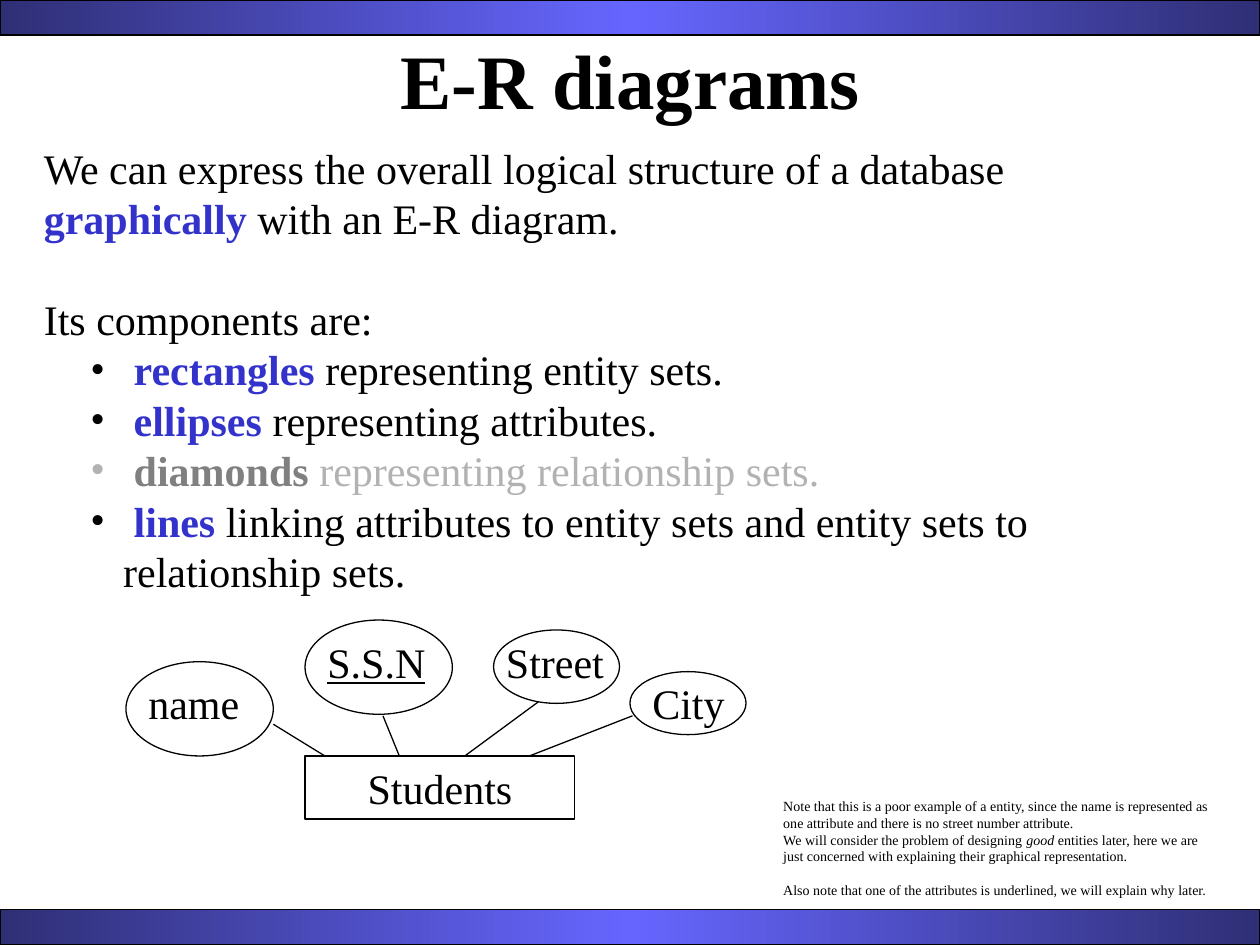
import copy

import pptx
import pptx.dml.color
import pptx.enum.shapes
import pptx.enum.text
import pptx.oxml.ns
import pptx.util
from lxml import etree
from pptx.util import Cm

FONT = "Times New Roman"
COLORS = {
    "text": "000000",
    "keyword": "3333CC",
    "faded": "B2B2B2",
    "faded_keyword": "808080",
    "band_edge": "2F2F76",
    "band_middle": "6666FF",
}
RGB = {name: pptx.dml.color.RGBColor.from_string(value) for name, value in COLORS.items()}
ALIGN = pptx.enum.text.PP_ALIGN
SHAPE = pptx.enum.shapes.MSO_SHAPE


def write_runs(paragraph, pieces, size):
    """Fill a paragraph with (text, color name, styles) pieces, at 1.2 line pitch."""
    paragraph.line_spacing = pptx.util.Pt(size * 1.2)
    paragraph.space_before = pptx.util.Pt(0)
    for text, color, *styles in pieces:
        run = paragraph.add_run()
        run.text = text
        run.font.name = FONT
        run.font.size = pptx.util.Pt(size)
        run.font.color.rgb = RGB[color]
        for style in styles:
            setattr(run.font, style, True)


def add_outline(kind, left, top, width, height):
    """Add an unfilled preset shape with a thin black line."""
    shape = slide.shapes.add_shape(kind, Cm(left), Cm(top), Cm(width), Cm(height))
    shape.shadow.inherit = False
    shape.fill.background()
    shape.line.color.rgb = RGB["text"]
    shape.line.width = pptx.util.Pt(0.75)
    return shape


presentation = pptx.Presentation()
presentation.slide_width, presentation.slide_height = Cm(25.4), Cm(19.05)
slide = presentation.slides.add_slide(presentation.slide_layouts[1])

# Gradient bands along the top and bottom edges
for top in (0, 18.34):
    band = add_outline(SHAPE.RECTANGLE, 0, top, 25.4, 0.71)
    band.fill.gradient()
    band.fill.gradient_angle = 0
    first, last = band.fill.gradient_stops
    first.color.rgb = RGB["band_middle"]
    last.color.rgb = RGB["band_edge"]
    first_stop = band._element.spPr.find(".//" + pptx.oxml.ns.qn("a:gs"))
    middle_stop = copy.deepcopy(first_stop)
    middle_stop.set("pos", "50000")
    first_stop.addnext(middle_stop)
    first.color.rgb = RGB["band_edge"]

# Title
title = slide.shapes.title
title.left, title.top, title.width, title.height = Cm(0.43), Cm(0), Cm(24.56), Cm(3.18)
title.text_frame.text = "E-R diagrams"
title_paragraph = title.text_frame.paragraphs[0]
title_paragraph.alignment = ALIGN.CENTER
title_font = title_paragraph.runs[0].font
title_font.name, title_font.size, title_font.bold = FONT, pptx.util.Pt(44), True
title_font.color.rgb = RGB["text"]

# Introduction and list of components: (bulleted, space before, pieces)
body = slide.placeholders[1]
body.left, body.top, body.width, body.height = Cm(0.63), Cm(2.74), Cm(24.13), Cm(9.4)
body.text_frame.auto_size = pptx.enum.text.MSO_AUTO_SIZE.NONE
body_lines = [
    (False, 0, [("We can express the overall logical structure of a database ", "text"),
                ("graphically", "keyword", "bold"),
                (" with an E-R diagram.", "text")]),
    (False, 28.8, [("Its components are:", "text")]),
]
for keyword, rest, keyword_color, color in (
    ("rectangles", " representing entity sets.", "keyword", "text"),
    ("ellipses", " representing attributes.", "keyword", "text"),
    ("diamonds", " representing relationship sets.", "faded_keyword", "faded"),
    ("lines", " linking attributes to entity sets and entity sets to relationship sets.",
     "keyword", "text"),
):
    body_lines.append((True, 0, [(" " + keyword, keyword_color, "bold"), (rest, color)]))

for index, (bulleted, space_before, pieces) in enumerate(body_lines):
    paragraph = body.text_frame.paragraphs[0] if index == 0 else body.text_frame.add_paragraph()
    paragraph.alignment = ALIGN.LEFT
    properties = paragraph._p.get_or_add_pPr()
    if bulleted:
        paragraph.level = 1
        properties.set("marL", str(Cm(1.6)))
        properties.set("indent", str(Cm(-0.66)))
        bullet_color = etree.SubElement(properties, pptx.oxml.ns.qn("a:buClr"))
        etree.SubElement(bullet_color, pptx.oxml.ns.qn("a:srgbClr"), val=COLORS[pieces[-1][1]])
        etree.SubElement(properties, pptx.oxml.ns.qn("a:buFont"), typeface=FONT)
        etree.SubElement(properties, pptx.oxml.ns.qn("a:buChar"), char="•")
    else:
        properties.set("marL", "0")
        properties.set("indent", "0")
        etree.SubElement(properties, pptx.oxml.ns.qn("a:buNone"))
    write_runs(paragraph, pieces, 24)
    paragraph.space_before = pptx.util.Pt(space_before)

# Entity set
entity = add_outline(SHAPE.RECTANGLE, 6.15, 15.24, 5.44, 1.27)
entity.text_frame.vertical_anchor = pptx.enum.text.MSO_ANCHOR.MIDDLE
entity.text_frame.paragraphs[0].alignment = ALIGN.CENTER
write_runs(entity.text_frame.paragraphs[0], [("Students", "text")], 24)

# Attributes: label, label box (left, top, width), ellipse box, link start, link end x
attributes = [
    ("name", (2.74, 13.54, 2.34), (2.54, 13.34, 2.97, 1.9), (5.51, 14.6), 6.55),
    ("S.S.N", (6.35, 12.7, 2.49), (6.15, 12.5, 2.97, 1.9), (7.72, 14.43), 8.05),
    ("Street", (9.95, 12.7, 2.49), (9.95, 12.7, 2.54, 1.48), (10.85, 14.15), 9.37),
    ("City", (12.9, 13.54, 1.96), (12.7, 13.54, 2.34, 1.27), (12.75, 14.43), 10.67),
]
for label, (left, top, width), ellipse_box, (start_x, start_y), end_x in attributes:
    add_outline(SHAPE.OVAL, *ellipse_box)
    label_box = slide.shapes.add_textbox(Cm(left), Cm(top), Cm(width), Cm(1.27))
    label_box.text_frame.word_wrap = False
    styles = ["underline"] if label == "S.S.N" else []
    write_runs(label_box.text_frame.paragraphs[0], [(label, "text", *styles)], 24)

    link = slide.shapes.add_connector(
        pptx.enum.shapes.MSO_CONNECTOR.STRAIGHT,
        Cm(start_x), Cm(start_y), Cm(end_x), Cm(15.24))
    link.line.color.rgb = RGB["text"]
    link.line.width = pptx.util.Pt(0.75)
    etree.SubElement(link._element.spPr, pptx.oxml.ns.qn("a:effectLst"))

# Side note
note = slide.shapes.add_textbox(Cm(15.54), Cm(15.95), Cm(9.27), Cm(2.29))
note.text_frame.word_wrap = True
note_lines = [
    (0, [("Note that this is a poor example of a entity, since the name is represented as "
          "one attribute and there is no street number attribute.", "text")]),
    (0, [("We will consider the problem of designing ", "text"),
         ("good", "text", "italic"),
         (" entities later, here we are just concerned with explaining their graphical "
          "representation.", "text")]),
    (9.6, [("Also note that one of the attributes is underlined, we will explain why later.",
            "text")]),
]
for index, (space_before, pieces) in enumerate(note_lines):
    paragraph = note.text_frame.paragraphs[0] if index == 0 else note.text_frame.add_paragraph()
    write_runs(paragraph, pieces, 8)
    paragraph.space_before = pptx.util.Pt(space_before)

presentation.save("out.pptx")
